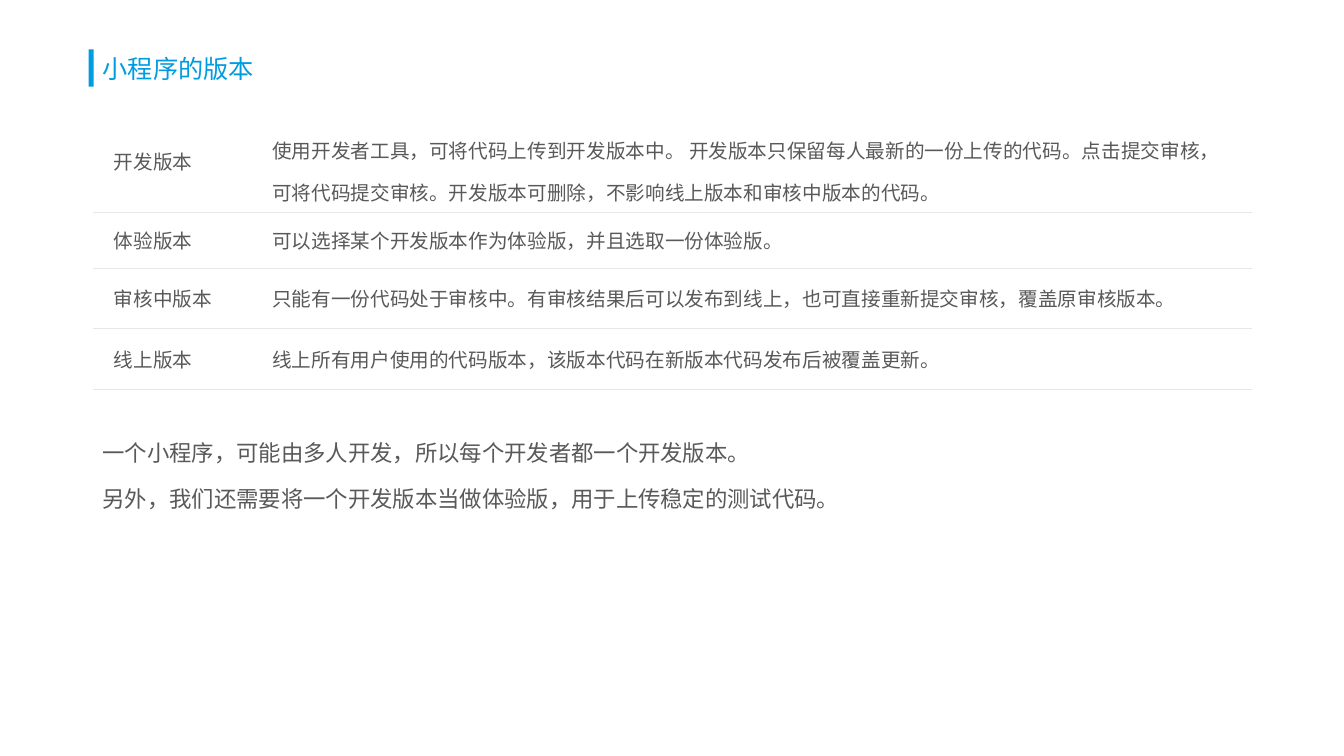
from pptx import Presentation
from pptx.dml.color import RGBColor
from pptx.enum.shapes import MSO_SHAPE
from pptx.enum.text import MSO_ANCHOR
from pptx.oxml import parse_xml
from pptx.oxml.ns import nsdecls
from pptx.util import Inches, Pt

COLORS = {"blue": "009CE0", "text": "595959", "rule": "E7E7EB", "white": "FFFFFF"}
SANS = "Noto Sans CJK SC"
ROWS = [
    ("开发版本", "使用开发者工具，可将代码上传到开发版本中。 开发版本只保留每人最新的一份上传的代码。"
     "点击提交审核，可将代码提交审核。开发版本可删除，不影响线上版本和审核中版本的代码。"),
    ("体验版本", "可以选择某个开发版本作为体验版，并且选取一份体验版。"),
    ("审核中版本", "只能有一份代码处于审核中。有审核结果后可以发布到线上，也可直接重新提交审核，覆盖原审核版本。"),
    ("线上版本", "线上所有用户使用的代码版本，该版本代码在新版本代码发布后被覆盖更新。"),
]
NOTES = [
    "一个小程序，可能由多人开发，所以每个开发者都一个开发版本。",
    "另外，我们还需要将一个开发版本当做体验版，用于上传稳定的测试代码。",
]


def color(name):
    return RGBColor.from_string(COLORS[name])


def write(para, text, size, font, tone):
    run = para.add_run()
    run.text = text
    run.font.size = Pt(size)
    run.font.name = font
    run.font.color.rgb = color(tone)
    if font == SANS:
        run.font._element.append(parse_xml(f'<a:ea {nsdecls("a")} typeface="{font}"/>'))


def add_frame(slide, left, top, width, height):
    frame = slide.shapes.add_textbox(
        Inches(left), Inches(top), Inches(width), Inches(height)).text_frame
    frame.word_wrap = True
    return frame


def add_title(slide, left, top, width, height):
    bar = slide.shapes.add_shape(
        MSO_SHAPE.RECTANGLE, Inches(left - 0.04), Inches(top + 0.09), Inches(0.05), Inches(0.37))
    bar.shadow.inherit = False
    bar.fill.solid()
    bar.fill.fore_color.rgb = color("blue")
    bar.line.fill.background()
    frame = add_frame(slide, left, top, width, height)
    frame.vertical_anchor = MSO_ANCHOR.MIDDLE
    para = frame.paragraphs[0]
    para.line_spacing = 0.9
    write(para, "小程序的版本", 18, "Arial", "blue")


def style_cell(cell):
    cell.vertical_anchor = MSO_ANCHOR.MIDDLE
    cell.margin_left = cell.margin_right = Inches(0.21)
    cell.margin_top = cell.margin_bottom = Inches(0.12)
    cell.fill.solid()
    cell.fill.fore_color.rgb = color("white")
    props = cell._tc.get_or_add_tcPr()
    for spot, side in enumerate(("lnL", "lnR", "lnT")):
        props.insert(spot, parse_xml(f'<a:{side} {nsdecls("a")} w="0"><a:noFill/></a:{side}>'))
    props.insert(3, parse_xml(
        f'<a:lnB {nsdecls("a")} w="{Pt(0.75)}"><a:solidFill>'
        f'<a:srgbClr val="{COLORS["rule"]}"/></a:solidFill></a:lnB>'))


def add_grid(slide, left, top, width, height):
    table = slide.shapes.add_table(
        len(ROWS), 2, Inches(left), Inches(top), Inches(width), Inches(height)).table
    table.first_row = table.horz_banding = False
    table.columns[0].width = Inches(1.57)
    table.columns[1].width = Inches(width - 1.57)
    for row, tall, texts in zip(table.rows, (1.03, 0.55, 0.6, 0.6), ROWS):
        row.height = Inches(tall)
        for cell, text in zip(row.cells, texts):
            style_cell(cell)
            write(cell.text_frame.paragraphs[0], text, 14, SANS, "text")
    table.cell(0, 1).text_frame.paragraphs[0].line_spacing = 1.5


def add_notes(slide, left, top, width, height):
    frame = add_frame(slide, left, top, width, height)
    for spot, text in enumerate(NOTES):
        para = frame.add_paragraph() if spot else frame.paragraphs[0]
        para.line_spacing = 1.5
        para.space_before = Pt(4.5)
        write(para, text, 16, "Arial", "text")


deck = Presentation()
deck.slide_width, deck.slide_height = Inches(13.33), Inches(7.5)
slide = deck.slides.add_slide(deck.slide_layouts[6])
add_title(slide, 0.92, 0.4, 11.5, 0.59)
add_grid(slide, 0.92, 1.08, 11.5, 2.77)
add_notes(slide, 0.92, 4.17, 11.5, 2.93)
deck.save("out.pptx")
